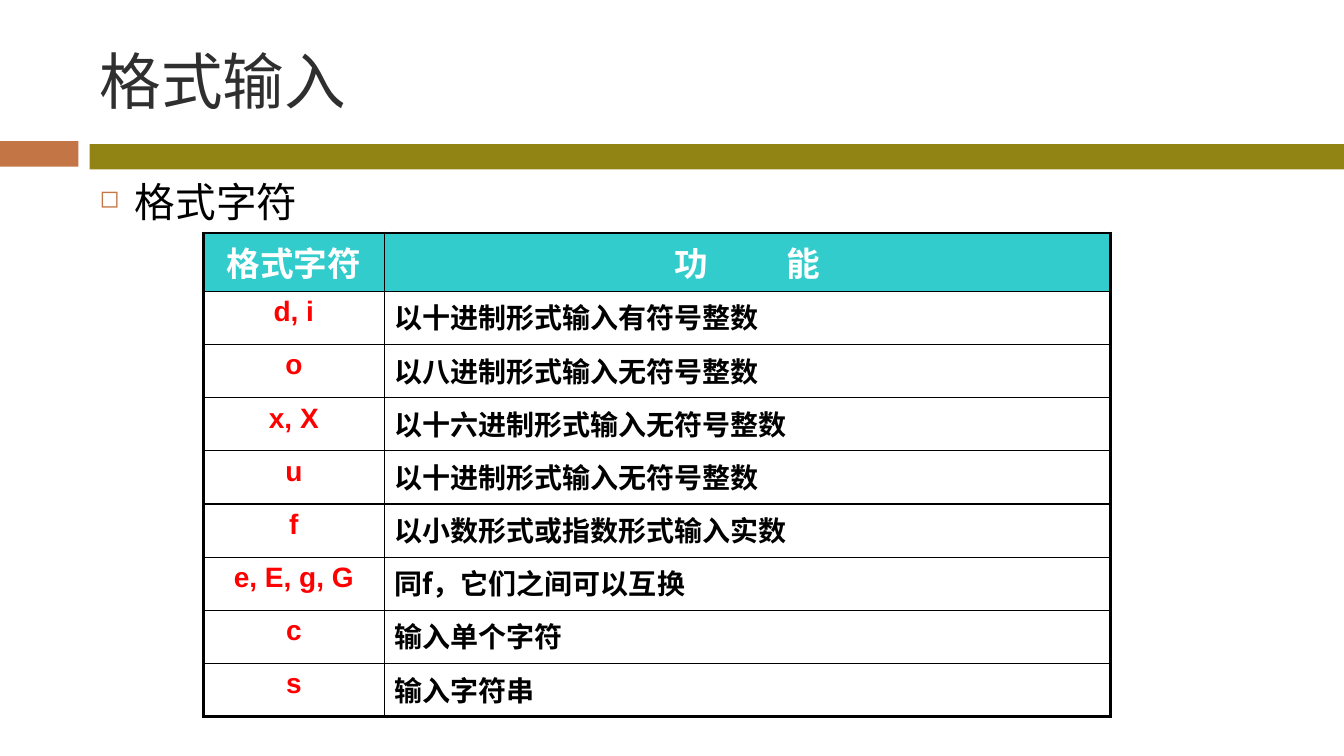
from dataclasses import dataclass

from lxml import etree
from pptx import Presentation
from pptx.dml.color import RGBColor
from pptx.enum.shapes import MSO_SHAPE
from pptx.enum.text import MSO_ANCHOR, PP_ALIGN
from pptx.oxml.ns import qn
from pptx.util import Cm, Pt

RECT = MSO_SHAPE.RECTANGLE
TOP, MIDDLE = MSO_ANCHOR.TOP, MSO_ANCHOR.MIDDLE
LEFT, CENTER = PP_ALIGN.LEFT, PP_ALIGN.CENTER

# Content
TITLE = "格式输入"
BULLET = "格式字符"
HEADER = ("格式字符", "功能")
ROWS = [
    ("d, i", "以十进制形式输入有符号整数"),
    ("o", "以八进制形式输入无符号整数"),
    ("x, X", "以十六进制形式输入无符号整数"),
    ("u", "以十进制形式输入无符号整数"),
    ("f", "以小数形式或指数形式输入实数"),
    ("e, E, g, G", "同f，它们之间可以互换"),
    ("c", "输入单个字符"),
    ("s", "输入字符串"),
]


@dataclass(frozen=True)
class Theme:
    accent: str = "C47546"
    band: str = "918415"
    title: str = "2F2F2F"
    text: str = "000000"
    header_fill: str = "33CCCC"
    header_text: str = "FFFFFF"
    code: str = "FF0000"
    heading_font: str = "Cabin"
    latin_font: str = "Arial"
    cjk_font: str = "Noto Sans CJK SC"
    title_size: int = 44
    bullet_size: int = 29
    header_size: int = 24
    cell_size: int = 20
    outer_line: float = 2.25
    inner_line: float = 1
    header_gap: int = 56  # points between the two header characters


T = Theme()

# Layout in cm
SLIDE_W, SLIDE_H = 33.87, 19.05
BODY_X, BODY_W = 2.26, 30.2
BARS = [(0, 3.56, 1.98, T.accent), (BODY_X, 3.63, SLIDE_W - BODY_X, T.band)]
BAR_H = 0.64
TABLE_X, TABLE_Y = 5.13, 5.87
COL_W = (4.55, 18.31)
HEADER_H, ROW_H = 1.47, 1.34


def style_run(r, font, size, color, bold=False):
    r.font.name, r.font.size, r.font.bold = font, Pt(size), bold
    r.font.color.rgb = RGBColor.from_string(color)
    etree.SubElement(r.font._element, qn("a:ea"), typeface=T.cjk_font)


def add_text(s, box, text, size, color, anchor):
    tf = s.shapes.add_textbox(*map(Cm, box)).text_frame
    tf.word_wrap, tf.vertical_anchor = True, anchor
    tf.text = text
    style_run(tf.paragraphs[0].runs[0], T.heading_font, size, color)
    return tf


def add_bullet(p, char, indent):
    pPr = p._p.get_or_add_pPr()
    pPr.set("marL", str(indent))
    pPr.set("indent", str(-indent))
    color = etree.SubElement(pPr, qn("a:buClr"))
    etree.SubElement(color, qn("a:srgbClr"), val=T.accent)
    etree.SubElement(pPr, qn("a:buSzPct"), val="60000")
    etree.SubElement(pPr, qn("a:buChar"), char=char)


def add_borders(cell, widths):
    tcPr = cell._tc.get_or_add_tcPr()
    for i, (side, width) in enumerate(widths.items()):
        ln = etree.Element(qn("a:ln" + side), w=str(Pt(width)))
        fill = etree.SubElement(ln, qn("a:solidFill"))
        etree.SubElement(fill, qn("a:srgbClr"), val=T.text)
        tcPr.insert(i, ln)


def fill_cell(cell, text, is_header, is_code):
    p = cell.text_frame.paragraphs[0]
    p.text = text
    p.alignment = CENTER if is_header or is_code else LEFT
    cell.vertical_anchor = TOP
    if is_header:
        cell.fill.solid()
        cell.fill.fore_color.rgb = RGBColor.from_string(T.header_fill)
        look = (T.latin_font, T.header_size, T.header_text)
    else:
        cell.fill.background()
        look = ((T.latin_font, T.cell_size, T.code) if is_code
                else (T.cjk_font, T.cell_size, T.text))
    style_run(p.runs[0], *look, bold=True)


def add_format_table(s):
    cells = [HEADER] + ROWS
    heights = [HEADER_H] + [ROW_H] * len(ROWS)
    last_row, last_col = len(cells) - 1, len(COL_W) - 1
    table = s.shapes.add_table(
        len(cells), len(COL_W), Cm(TABLE_X), Cm(TABLE_Y),
        Cm(sum(COL_W)), Cm(sum(heights))).table
    table.first_row = table.horz_banding = False
    for col, width in zip(table.columns, COL_W):
        col.width = Cm(width)
    for i, (row, height) in enumerate(zip(table.rows, heights)):
        row.height = Cm(height)
        for j, text in enumerate(cells[i]):
            cell = table.cell(i, j)
            fill_cell(cell, text, i == 0, j == 0)
            edges = {"L": j == 0, "R": j == last_col,
                     "T": i == 0, "B": i == last_row}
            add_borders(cell, {side: T.outer_line if outer else T.inner_line
                               for side, outer in edges.items()})

    # Spread the two characters of the second heading
    p = table.cell(0, 1).text_frame.paragraphs[0]
    first, rest = HEADER[1]
    p.runs[0].text = first
    p.runs[0].font._element.set("spc", str(T.header_gap * 100))
    r = p.add_run()
    r.text = rest
    style_run(r, T.latin_font, T.header_size, T.header_text, bold=True)


def main():
    prs = Presentation()
    prs.slide_width, prs.slide_height = Cm(SLIDE_W), Cm(SLIDE_H)
    s = prs.slides.add_slide(prs.slide_layouts[6])

    # Bars under the title
    for x, y, width, color in BARS:
        sp = s.shapes.add_shape(RECT, Cm(x), Cm(y), Cm(width), Cm(BAR_H))
        sp.shadow.inherit = False
        sp.fill.solid()
        sp.fill.fore_color.rgb = RGBColor.from_string(color)
        sp.line.fill.background()

    # Title and bullet
    add_text(s, (BODY_X, 0.64, BODY_W, 2.74), TITLE, T.title_size, T.title, MIDDLE)
    tf = add_text(s, (BODY_X, 4.45, BODY_W, 1.5), BULLET, T.bullet_size, T.text, TOP)
    tf.margin_top = 0
    add_bullet(tf.paragraphs[0], "◻", Cm(0.89))

    # Table of format characters
    add_format_table(s)
    prs.save("out.pptx")


if __name__ == "__main__":
    main()
